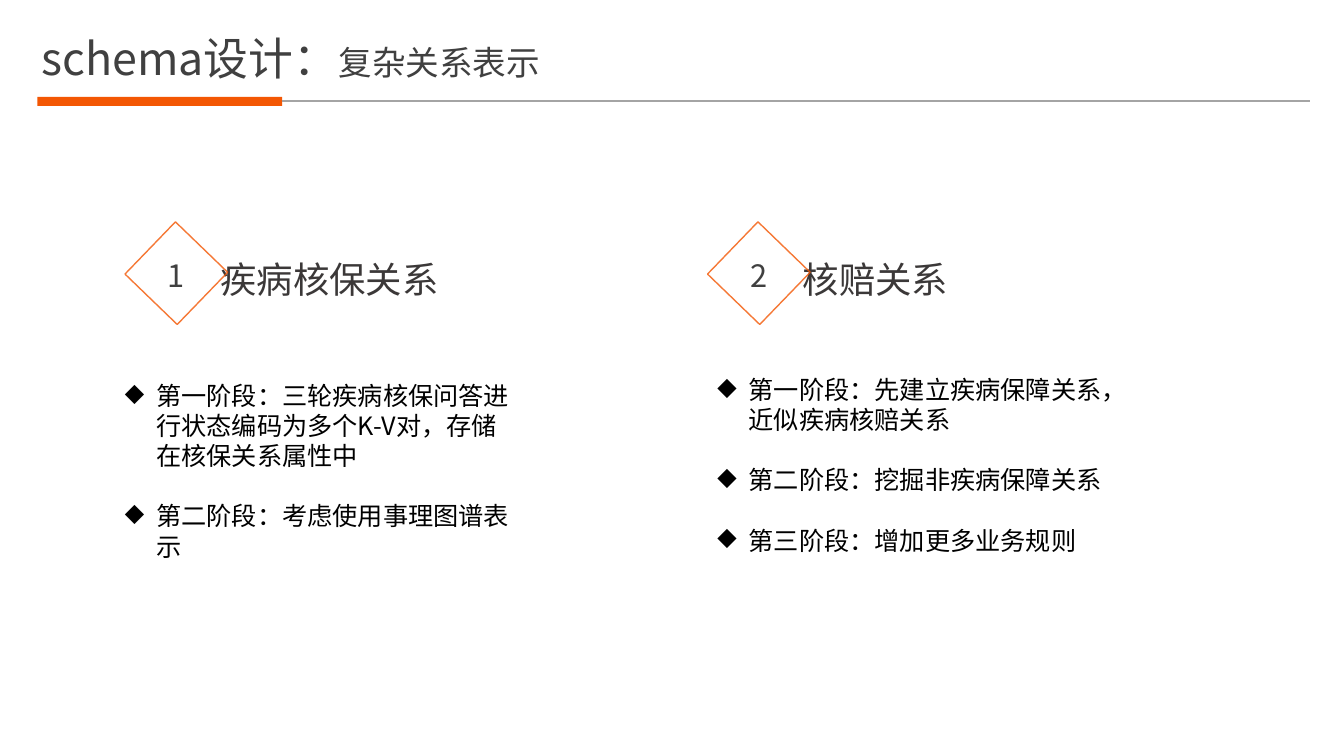
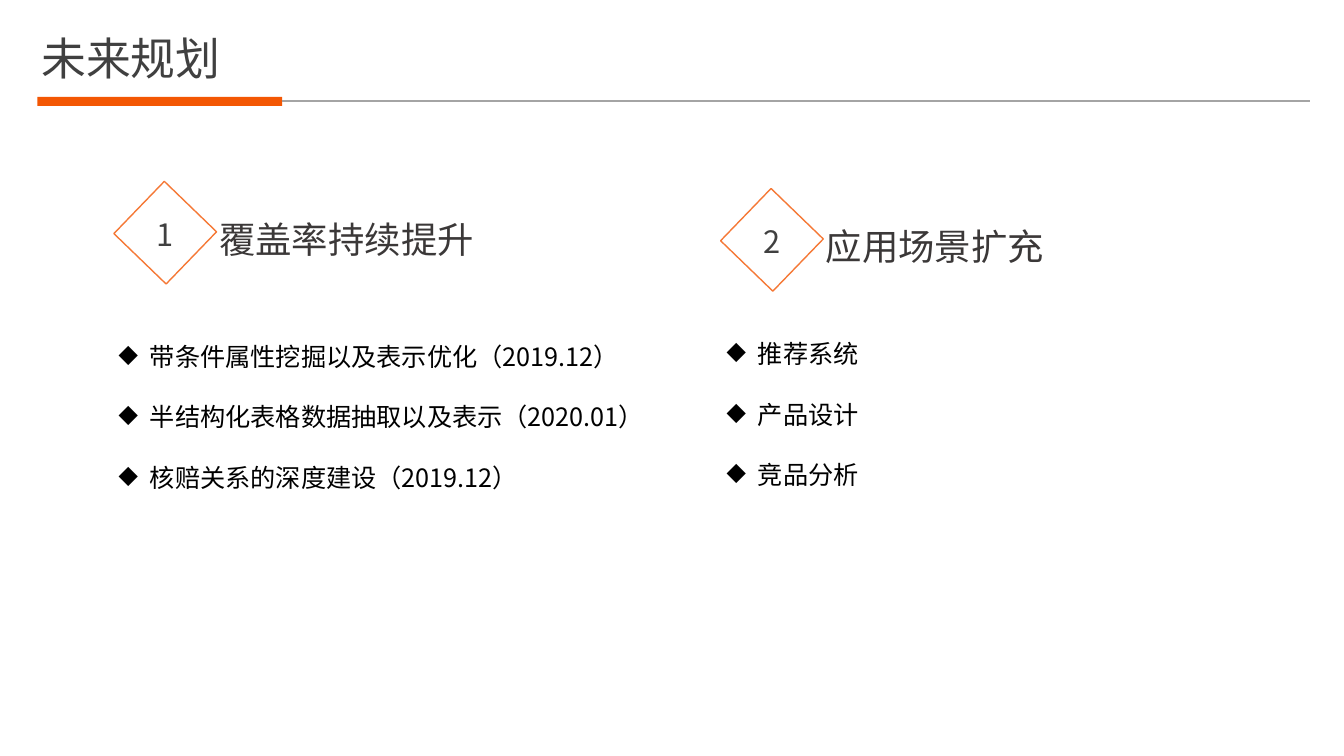
from dataclasses import dataclass

from lxml import etree
from pptx import Presentation
from pptx import util as u
from pptx.dml.color import RGBColor
from pptx.enum import shapes, text
from pptx.oxml.ns import qn


@dataclass(frozen=True)
class Theme:
    font: str = "Noto Sans CJK SC"
    accent: str = "F35704"
    rule: str = "A4A4A4"
    title: str = "404040"
    heading: str = "3B3838"
    body: str = "000000"
    title_size: float = 32
    subtitle_size: float = 24
    heading_size: float = 26
    number_size: float = 22
    body_size: float = 18
    bullet_gap: float = 21.5


@dataclass(frozen=True)
class Column:
    """A numbered topic; marker and bullets hold centimetres."""
    heading: str
    items: tuple
    marker: tuple   # left, top of the diamond
    bullets: tuple  # left, top, width, height of the list


class SlideBuilder:
    MARKER = 1.83
    NUMBER_WIDTH = 2.79
    INDENT = 0.79

    def __init__(self, deck, theme):
        self.deck = deck
        self.theme = theme
        self.slide = None

    def new_slide(self, title, subtitle=""):
        self.slide = self.deck.slides.add_slide(self.deck.slide_layouts[6])
        theme = self.theme
        frame = self.text_box(0.79, 0.64, 31.67, 1.63)
        para = frame.paragraphs[0]
        self.add_span(para, title, theme.title_size, theme.title)
        if subtitle:
            self.add_span(para, subtitle, theme.subtitle_size, theme.title)
        self.title_band()

    def title_band(self):
        bar = self.rectangle(0.94, 2.44, 6.17, 0.23)
        bar.fill.solid()
        bar.fill.fore_color.rgb = RGBColor.from_string(self.theme.accent)
        bar.line.fill.background()
        middle = bar.top + bar.height // 2
        rule = self.slide.shapes.add_connector(
            shapes.MSO_CONNECTOR.STRAIGHT, bar.left + bar.width, middle,
            u.Cm(33.02), middle)
        rule.begin_connect(bar, 3)
        rule.line.color.rgb = RGBColor.from_string(self.theme.rule)
        rule.line.width = u.Pt(1.5)
        etree.SubElement(rule._element.spPr, qn("a:effectLst"))

    def rectangle(self, left, top, width, height):
        box = self.slide.shapes.add_shape(
            shapes.MSO_SHAPE.RECTANGLE,
            u.Cm(left), u.Cm(top), u.Cm(width), u.Cm(height))
        box.shadow.inherit = False
        return box

    def text_box(self, left, top, width, height):
        box = self.slide.shapes.add_textbox(
            u.Cm(left), u.Cm(top), u.Cm(width), u.Cm(height))
        box.text_frame.word_wrap = True
        return box.text_frame

    def add_span(self, para, words, size, color):
        span = para.add_run()
        span.text = words
        span.font.size = u.Pt(size)
        span.font.name = self.theme.font
        span.font.color.rgb = RGBColor.from_string(color)
        east_asian = etree.SubElement(span._r.get_or_add_rPr(), qn("a:ea"))
        east_asian.set("typeface", self.theme.font)

    def marker(self, left, top, number):
        frame = self.text_box(left - (self.NUMBER_WIDTH - self.MARKER) / 2,
                              top + 0.24, self.NUMBER_WIDTH, 2.31)
        para = frame.paragraphs[0]
        para.alignment = text.PP_ALIGN.CENTER
        para.line_spacing = 1.14
        self.add_span(para, str(number), self.theme.number_size, self.theme.title)

        diamond = self.rectangle(left, top, self.MARKER, self.MARKER)
        diamond.rotation = 44
        diamond.fill.background()
        diamond.line.color.rgb = RGBColor.from_string(self.theme.accent)
        diamond.line.width = u.Pt(1)
        color = diamond._element.spPr.find(".//" + qn("a:srgbClr"))
        etree.SubElement(color, qn("a:alpha")).set("val", "80000")

    def heading(self, left, top, words):
        para = self.text_box(left, top, 10.85, 2.16).paragraphs[0]
        para.line_spacing = 1.5
        para.space_before = u.Pt(5)
        self.add_span(para, words, self.theme.heading_size, self.theme.heading)

    def bullet_list(self, area, items):
        frame = self.text_box(*area)
        for index, item in enumerate(items):
            para = frame.add_paragraph() if index else frame.paragraphs[0]
            if index:
                para.space_before = u.Pt(self.theme.bullet_gap)
            props = para._p.get_or_add_pPr()
            props.set("marL", str(u.Cm(self.INDENT)))
            props.set("indent", str(-u.Cm(self.INDENT)))
            etree.SubElement(props, qn("a:buChar")).set("char", "◆")
            self.add_span(para, item, self.theme.body_size, self.theme.body)

    def columns(self, columns, heading_offset):
        for number, column in enumerate(columns, start=1):
            left, top = column.marker
            self.heading(left + heading_offset, top - 0.16, column.heading)
            self.marker(left, top, number)
            self.bullet_list(column.bullets, column.items)


def main():
    deck = Presentation()
    deck.slide_width, deck.slide_height = u.Cm(33.87), u.Cm(19.05)
    builder = SlideBuilder(deck, Theme())

    builder.new_slide("schema设计：", "复杂关系表示")
    builder.columns([
        Column("疾病核保关系",
               ("第一阶段：三轮疾病核保问答进行状态编码为多个K-V对，存储在核保关系属性中",
                "第二阶段：考虑使用事理图谱表示"),
               (3.53, 5.97), (2.9, 9.45, 10.49, 4.88)),
        Column("核赔关系",
               ("第一阶段：先建立疾病保障关系，近似疾病核赔关系",
                "第二阶段：挖掘非疾病保障关系",
                "第三阶段：增加更多业务规则"),
               (18.21, 5.97), (17.83, 9.3, 10.29, 4.88)),
    ], heading_offset=1.77)

    builder.new_slide("未来规划")
    builder.columns([
        Column("覆盖率持续提升",
               ("带条件属性挖掘以及表示优化（2019.12）",
                "半结构化表格数据抽取以及表示（2020.01）",
                "核赔关系的深度建设（2019.12）"),
               (3.25, 4.95), (2.74, 8.48, 13.77, 5.64)),
        Column("应用场景扩充",
               ("推荐系统", "产品设计", "竞品分析"),
               (18.54, 5.13), (18.06, 8.41, 10.49, 4.11)),
    ], heading_offset=2.02)

    deck.save("out.pptx")


if __name__ == "__main__":
    main()
